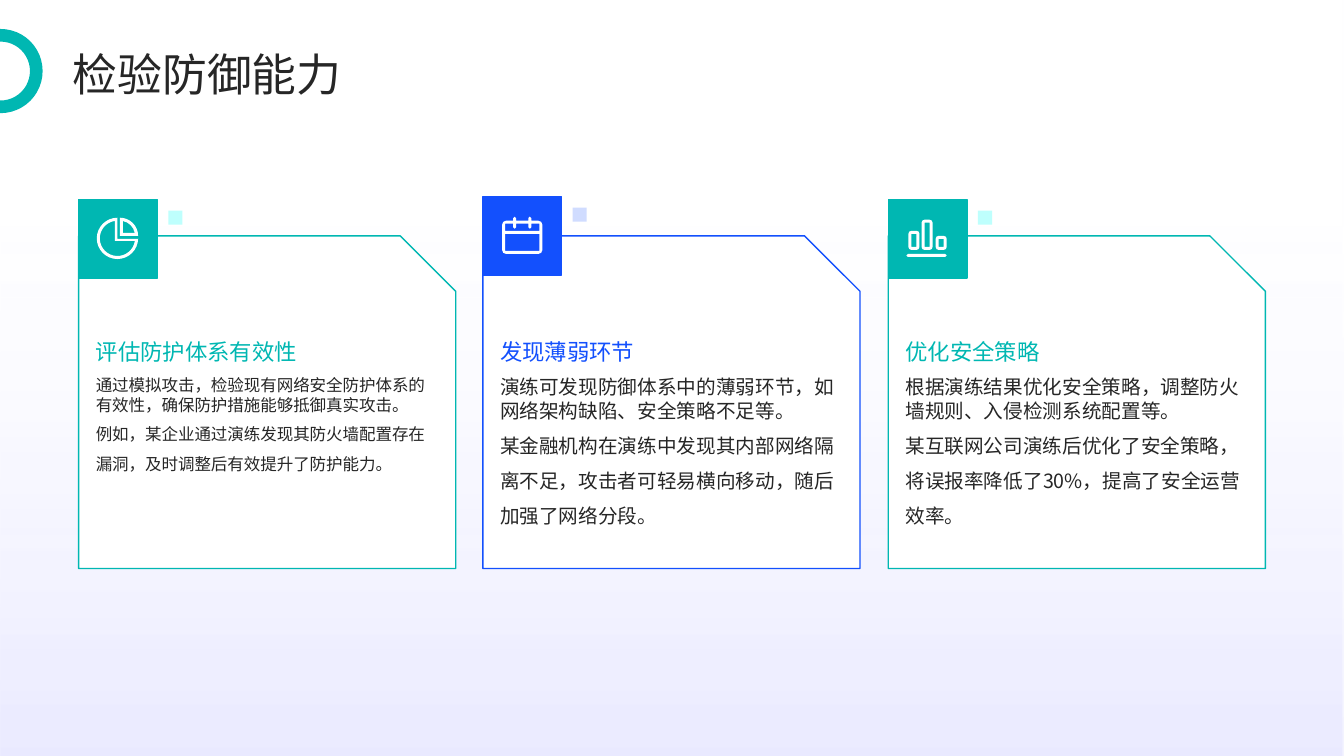
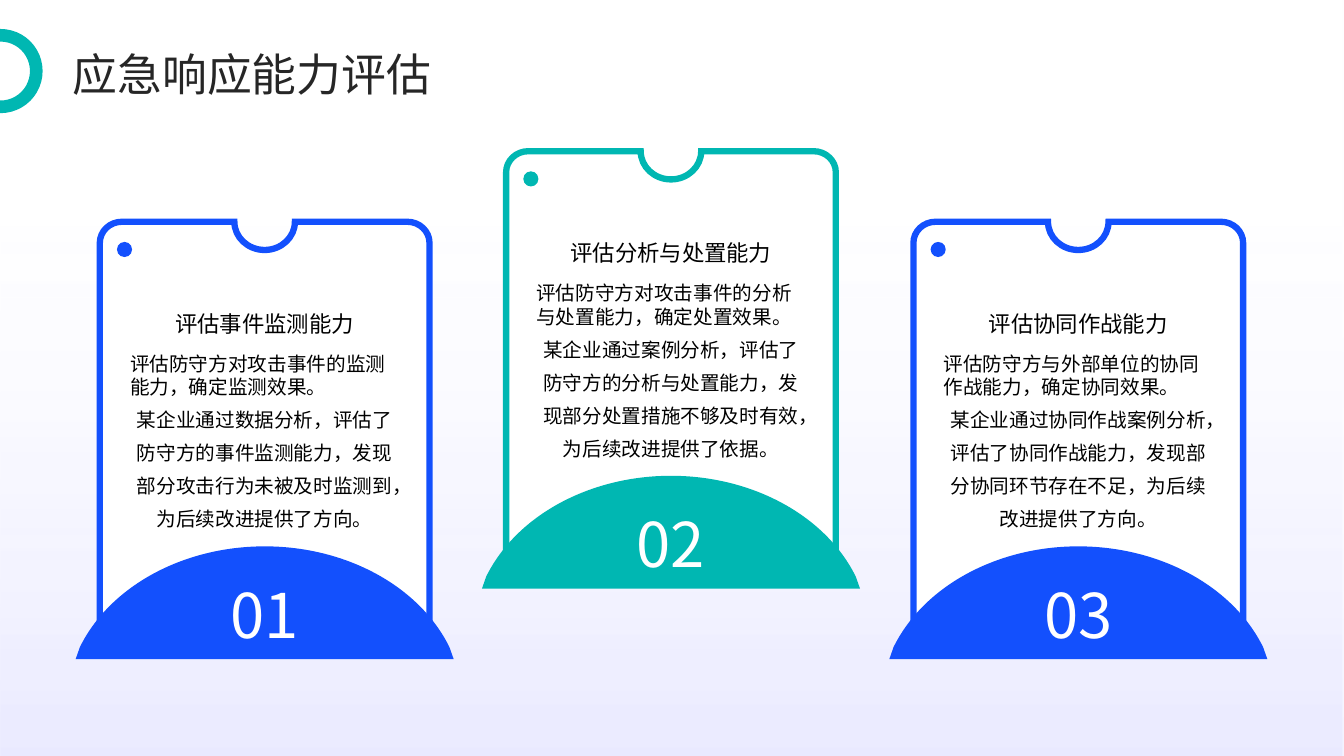
import math

import pptx
import pptx.dml.color
import pptx.enum.shapes
import pptx.enum.text
import pptx.oxml.ns
import pptx.util
from lxml import etree

RGBColor = pptx.dml.color.RGBColor
SHAPE = pptx.enum.shapes.MSO_SHAPE
ANCHOR = pptx.enum.text.MSO_ANCHOR
ALIGN = pptx.enum.text.PP_ALIGN
qn = pptx.oxml.ns.qn

PX = 9144  # EMU in one px, 100 px to the inch
SLIDE_WIDTH, SLIDE_HEIGHT = 1333, 750
FONT = "Noto Sans CJK SC"

TEAL = RGBColor(0x00, 0xB7, 0xB2)
BLUE = RGBColor(0x13, 0x50, 0xFD)
PALE_TEAL = RGBColor(0xBE, 0xFF, 0xFD)
PALE_BLUE = RGBColor(0xD0, 0xDC, 0xFF)
WHITE = RGBColor(0xFF, 0xFF, 0xFF)
BLACK = RGBColor(0x00, 0x00, 0x00)
INK = RGBColor(0x26, 0x26, 0x26)
# position, colour, opacity in thousandths of a percent
BACKDROP_STOPS = [
    (0.29, RGBColor(0xBC, 0xBC, 0xFF), 0),
    (1.0, RGBColor(0x79, 0x79, 0xFF), 15000),
]

DEFENCE_CARDS = [
    ("评估防护体系有效性",
     "通过模拟攻击，检验现有网络安全防护体系的有效性，确保防护措施能够抵御真实攻击。\n"
     "例如，某企业通过演练发现其防火墙配置存在漏洞，及时调整后有效提升了防护能力。"),
    ("发现薄弱环节",
     "演练可发现防御体系中的薄弱环节，如网络架构缺陷、安全策略不足等。\n"
     "某金融机构在演练中发现其内部网络隔离不足，攻击者可轻易横向移动，随后加强了网络分段。"),
    ("优化安全策略",
     "根据演练结果优化安全策略，调整防火墙规则、入侵检测系统配置等。\n"
     "某互联网公司演练后优化了安全策略，将误报率降低了30%，提高了安全运营效率。"),
]
RESPONSE_TICKETS = [
    ("评估事件监测能力",
     "评估防守方对攻击事件的监测能力，确定监测效果。\n"
     "某企业通过数据分析，评估了防守方的事件监测能力，发现部分攻击行为未被及时监测到，为后续改进提供了方向。"),
    ("评估分析与处置能力",
     "评估防守方对攻击事件的分析与处置能力，确定处置效果。\n"
     "某企业通过案例分析，评估了防守方的分析与处置能力，发现部分处置措施不够及时有效，为后续改进提供了依据。"),
    ("评估协同作战能力",
     "评估防守方与外部单位的协同作战能力，确定协同效果。\n"
     "某企业通过协同作战案例分析，评估了协同作战能力，发现部分协同环节存在不足，为后续改进提供了方向。"),
]


def px(*lengths):
    return [round(length * PX) for length in lengths]


def paint(shape, fill=None, line=None, width=1):
    shape.shadow.inherit = False
    if fill is None:
        shape.fill.background()
    else:
        shape.fill.solid()
        shape.fill.fore_color.rgb = fill
    if line is None:
        shape.line.fill.background()
    else:
        shape.line.color.rgb = line
        shape.line.width = pptx.util.Pt(width)
    return shape


def add_preset(slide, kind, box, **style):
    return paint(slide.shapes.add_shape(kind, *px(*box)), **style)


def line_to(*points):
    return [[point] for point in points]


def arc(center_x, center_y, radius_x, radius_y, start, end):
    """A line to the start of an elliptic arc, then its cubic curves.

    Degrees run clockwise from the right.
    """
    def place(x, y):
        return center_x + radius_x * x, center_y + radius_y * y

    count = math.ceil(abs(end - start) / 90)
    turn = math.radians(end - start) / count
    handle = 4 / 3 * math.tan(turn / 4)
    first = math.radians(start)
    steps = [[place(math.cos(first), math.sin(first))]]
    for i in range(count):
        a, b = first + turn * i, first + turn * (i + 1)
        steps.append([
            place(math.cos(a) - handle * math.sin(a), math.sin(a) + handle * math.cos(a)),
            place(math.cos(b) + handle * math.sin(b), math.sin(b) - handle * math.cos(b)),
            place(math.cos(b), math.sin(b))])
    return steps


def rectangle(left, top, width, height):
    right, bottom = left + width, top + height
    return line_to((left, top), (right, top), (right, bottom), (left, bottom))


def rounded(left, top, width, height, radius):
    right, bottom = left + width - radius, top + height - radius
    left, top = left + radius, top + radius
    corners = [(left, top, 180), (right, top, 270), (right, bottom, 0), (left, bottom, 90)]
    return [step for x, y, start in corners
            for step in arc(x, y, radius, radius, start, start + 90)]


def add_outline(slide, left, top, contours, **style):
    """One freeform from closed contours; a step of three points is a curve."""
    builder = None
    drawn_steps = []
    for contour in contours:
        steps = [[px(left + x, top + y) for x, y in step] for step in contour]
        start = steps[0][0]
        if builder is None:
            builder = slide.shapes.build_freeform(*start, scale=1.0)
        else:
            builder.move_to(*start)
        builder.add_line_segments([point for step in steps[1:] for point in step], close=False)
        builder.add_line_segments([], close=True)
        drawn_steps += steps[1:]
    shape = paint(builder.convert_to_shape(), **style)
    segments = iter(list(shape.element.spPr.iter(qn("a:lnTo"))))
    for step in drawn_steps:
        first, *others = [next(segments) for _ in step]
        if others:
            curve = etree.Element(qn("a:cubicBezTo"))
            first.addprevious(curve)
            for segment in (first, *others):
                curve.append(segment[0])
                segment.getparent().remove(segment)
    return shape


def set_frame(frame, anchor):
    frame.word_wrap = True
    frame.auto_size = pptx.enum.text.MSO_AUTO_SIZE.NONE
    frame.vertical_anchor = anchor
    frame.margin_left = frame.margin_right = frame.margin_top = frame.margin_bottom = 0
    return frame


def write(frame, text, size, color, spacing, align=ALIGN.LEFT):
    paragraph = frame.paragraphs[0]
    paragraph.alignment = align
    paragraph.line_spacing = spacing
    run = paragraph.add_run()
    run.text = text
    run.font.size = pptx.util.Pt(size)
    run.font.color.rgb = color
    run.font.name = FONT
    etree.SubElement(run.font._element, qn("a:ea")).set("typeface", FONT)


def add_text(slide, box, text, anchor=ANCHOR.TOP, **style):
    frame = slide.shapes.add_textbox(*px(*box)).text_frame
    write(set_frame(frame, anchor), text, **style)


def add_backdrop(slide):
    backdrop = add_preset(slide, SHAPE.RECTANGLE, (0, 0, SLIDE_WIDTH, SLIDE_HEIGHT))
    backdrop.fill.gradient()
    backdrop.fill.gradient_angle = 270
    for stop, (position, color, _) in zip(backdrop.fill.gradient_stops, BACKDROP_STOPS):
        stop.position = position
        stop.color.rgb = color
    colors = backdrop.element.iter(qn("a:srgbClr"))
    for element, (_, _, opacity) in zip(colors, BACKDROP_STOPS):
        etree.SubElement(element, qn("a:alpha")).set("val", str(opacity))


def add_slide(presentation, title):
    """A slide with its backdrop, ring and title, the title in front."""
    slide = presentation.slides.add_slide(presentation.slide_layouts[5])
    add_backdrop(slide)
    add_preset(slide, SHAPE.OVAL, (-35, 35, 71, 71), line=TEAL, width=9)
    placeholder = slide.shapes.title
    placeholder.left, placeholder.top, placeholder.width, placeholder.height = px(72, 47, 1188, 47)
    frame = set_frame(placeholder.text_frame, ANCHOR.MIDDLE)
    write(frame, title, size=32, color=INK, spacing=1.1)
    slide.shapes.element.append(placeholder.element)
    return slide


def pie_icon():
    return [line_to((38.5, 18), (38.5, 39), (59, 39)) + arc(38.5, 38.5, 20.5, 20.5, 0, 270),
            line_to((36, 41)) + arc(38.5, 38.5, 17.5, 17.5, 8, 262),
            line_to((41, 36)) + arc(41, 36, 18, 18, 270, 360),
            line_to((44, 33)) + arc(41, 36, 15, 15, 281, 349)]


def calendar_icon():
    ticks = (31.5, 46.5)
    rings = [step for x in ticks
             for step in line_to((x - 1.5, 24)) + arc(x, 21.5, 1.5, 1.5, 180, 360)
             + line_to((x + 1.5, 24))]
    notches = [step for x in ticks
               for step in line_to((x - 1.5, 27)) + arc(x, 30.5, 1.5, 1.5, 180, 0)
               + line_to((x + 1.5, 27))]
    frame = rounded(19, 24, 40, 33, 4)
    return [frame[:2] + rings + frame[2:],
            line_to((22, 27)) + notches + line_to((56, 27), (56, 34), (22, 34)),
            rectangle(22, 37, 34, 17)]


def bars_icon():
    contours = [rounded(18, 54, 40, 3, 1.5)]
    for i, height in enumerate((19, 30, 14)):
        left, top = 20 + 27 * i // 2, 50 - height
        contours += [rounded(left, top, 11, height, 3),
                     rectangle(left + 3, top + 3, 5, height - 6)]
    return contours


def add_card(slide, left, tile_top, color, accent, icon, content, size):
    heading, body = content
    add_preset(slide, SHAPE.SNIP_1_RECTANGLE, (left, 234, 374, 330), fill=WHITE, line=color)
    add_text(slide, (left + 17, 372, 339, 168), body, size=size, color=INK, spacing=1.5)
    add_text(slide, (left + 17, 284, 339, 78), heading, ANCHOR.BOTTOM,
             size=16, color=color, spacing=1.3)
    add_preset(slide, SHAPE.RECTANGLE, (left, tile_top, 78, 78), fill=color, line=color)
    add_outline(slide, left, tile_top, icon, fill=WHITE)
    add_preset(slide, SHAPE.RECTANGLE, (left + 89, tile_top + 11, 14, 14), fill=accent)


def ticket_contour(width=327, height=418):
    """Rounded card with a round notch in its top edge."""
    right, bottom = width - 22, height - 21
    return (arc(22, 21, 22, 21, 180, 270)
            + arc(width / 2, 0, 30, 28, 180, 0)
            + arc(right, 21, 22, 21, 270, 360)
            + arc(right, bottom, 22, 21, 0, 90)
            + arc(22, bottom, 22, 21, 90, 180))


def add_ticket(slide, left, top, color, number, content):
    heading, body = content
    ticket = add_outline(slide, left, top, [ticket_contour()], fill=WHITE, line=color, width=4.5)
    etree.SubElement(ticket.element.spPr.find(qn("a:ln")), qn("a:miter")).set("lim", "800000")
    dome = line_to((-24, 434)) + arc(163.5, 480, 197, 158, 201.5, 338.5) + line_to((351, 434))
    add_outline(slide, left, top, [dome], fill=color)
    add_text(slide, (left + 30, top + 129, 267, 189), body,
             size=14, color=BLACK, spacing=1.4, align=ALIGN.CENTER)
    add_text(slide, (left + 30, top + 54, 267, 60), heading, ANCHOR.BOTTOM,
             size=16, color=BLACK, spacing=1.1, align=ALIGN.CENTER)
    add_text(slide, (left + 75, top + 355, 177, 60), f"{number:02}", ANCHOR.MIDDLE,
             size=44, color=WHITE, spacing=1.1, align=ALIGN.CENTER)
    add_preset(slide, SHAPE.OVAL, (left + 17, top + 20, 15, 15), fill=color)


def add_defence_slide(presentation):
    slide = add_slide(presentation, "检验防御能力")
    looks = [(198, TEAL, PALE_TEAL, pie_icon(), 11.8),
             (195, BLUE, PALE_BLUE, calendar_icon(), 14),
             (198, TEAL, PALE_TEAL, bars_icon(), 14)]
    for i, (content, look) in enumerate(zip(DEFENCE_CARDS, looks)):
        tile_top, color, accent, icon, size = look
        add_card(slide, 78 + 803 * i // 2, tile_top, color, accent, icon, content, size)


def add_response_slide(presentation):
    slide = add_slide(presentation, "应急响应能力评估")
    looks = [(220, BLUE), (150, TEAL), (220, BLUE)]
    for i, (content, (top, color)) in enumerate(zip(RESPONSE_TICKETS, looks)):
        add_ticket(slide, 99 + 807 * i // 2, top, color, i + 1, content)


def main():
    presentation = pptx.Presentation()
    presentation.slide_width, presentation.slide_height = px(SLIDE_WIDTH, SLIDE_HEIGHT)
    add_defence_slide(presentation)
    add_response_slide(presentation)
    presentation.save("out.pptx")


if __name__ == "__main__":
    main()
